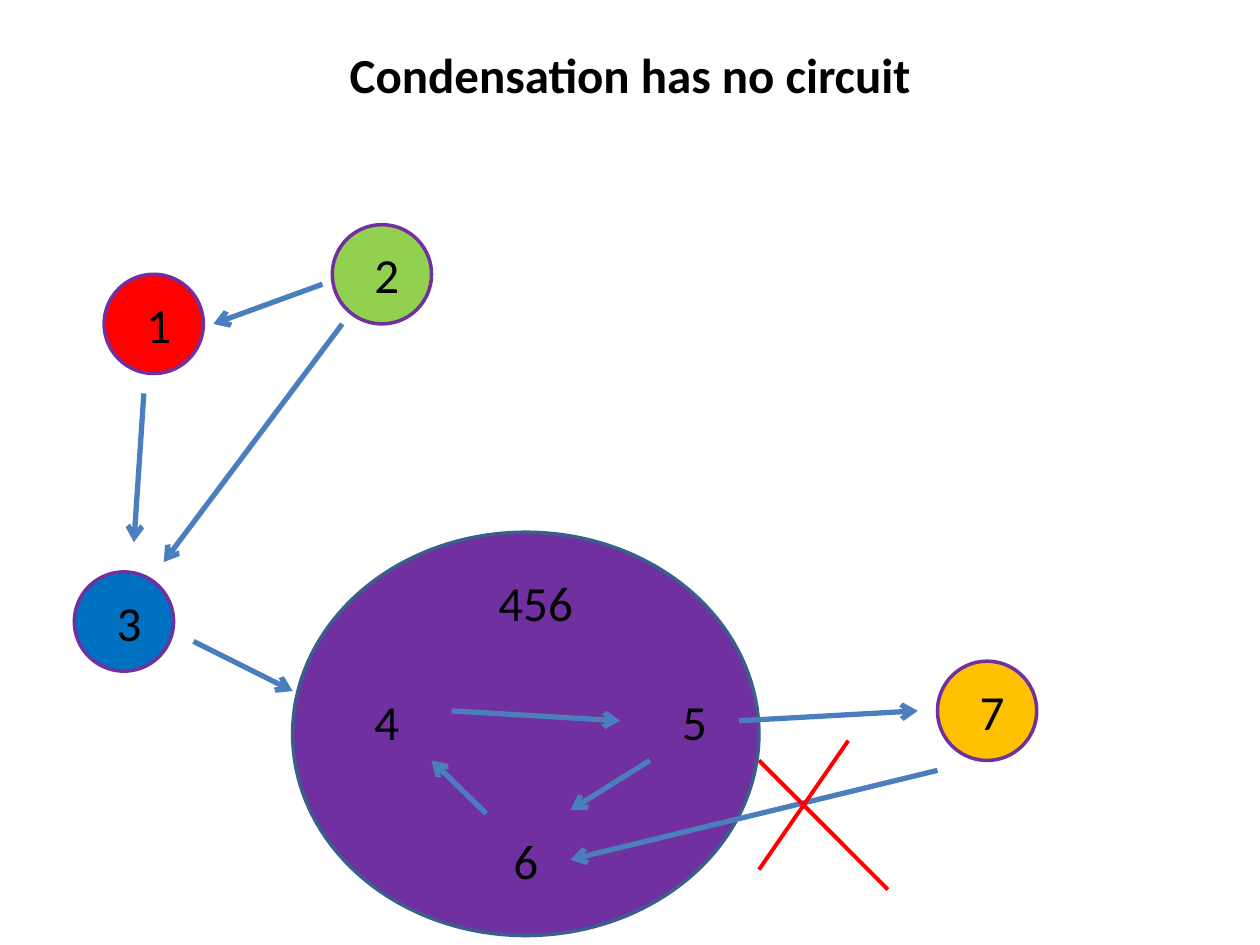
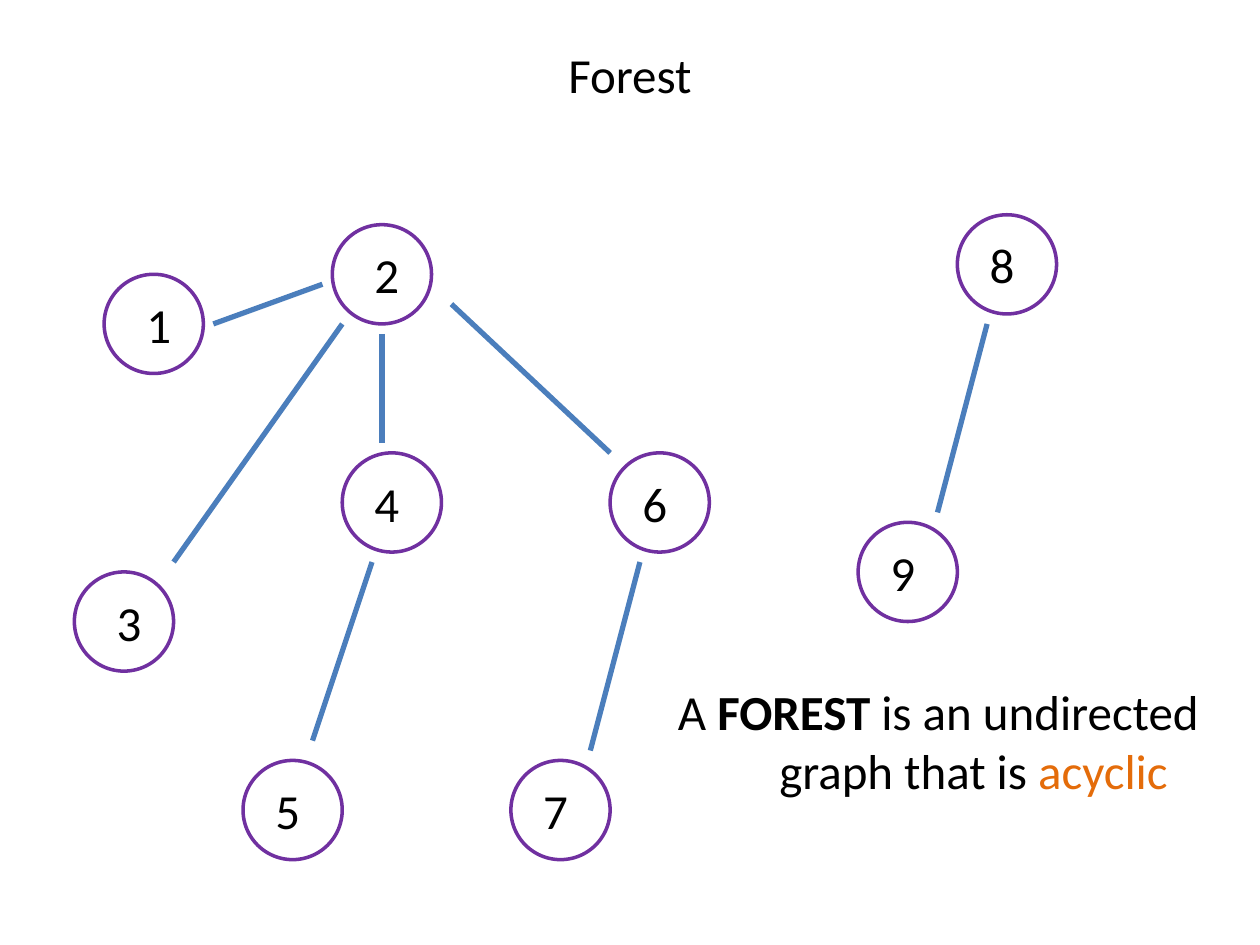
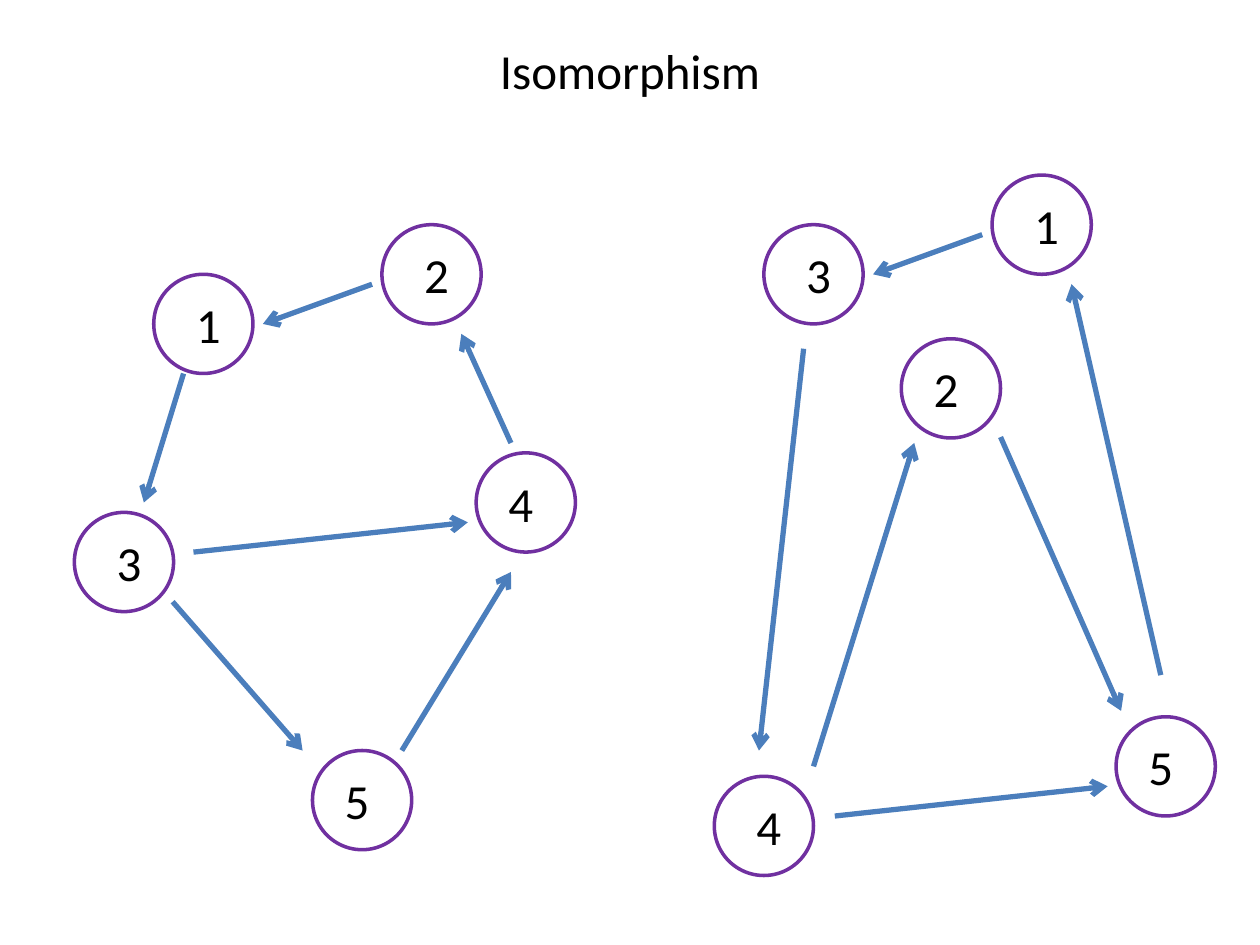
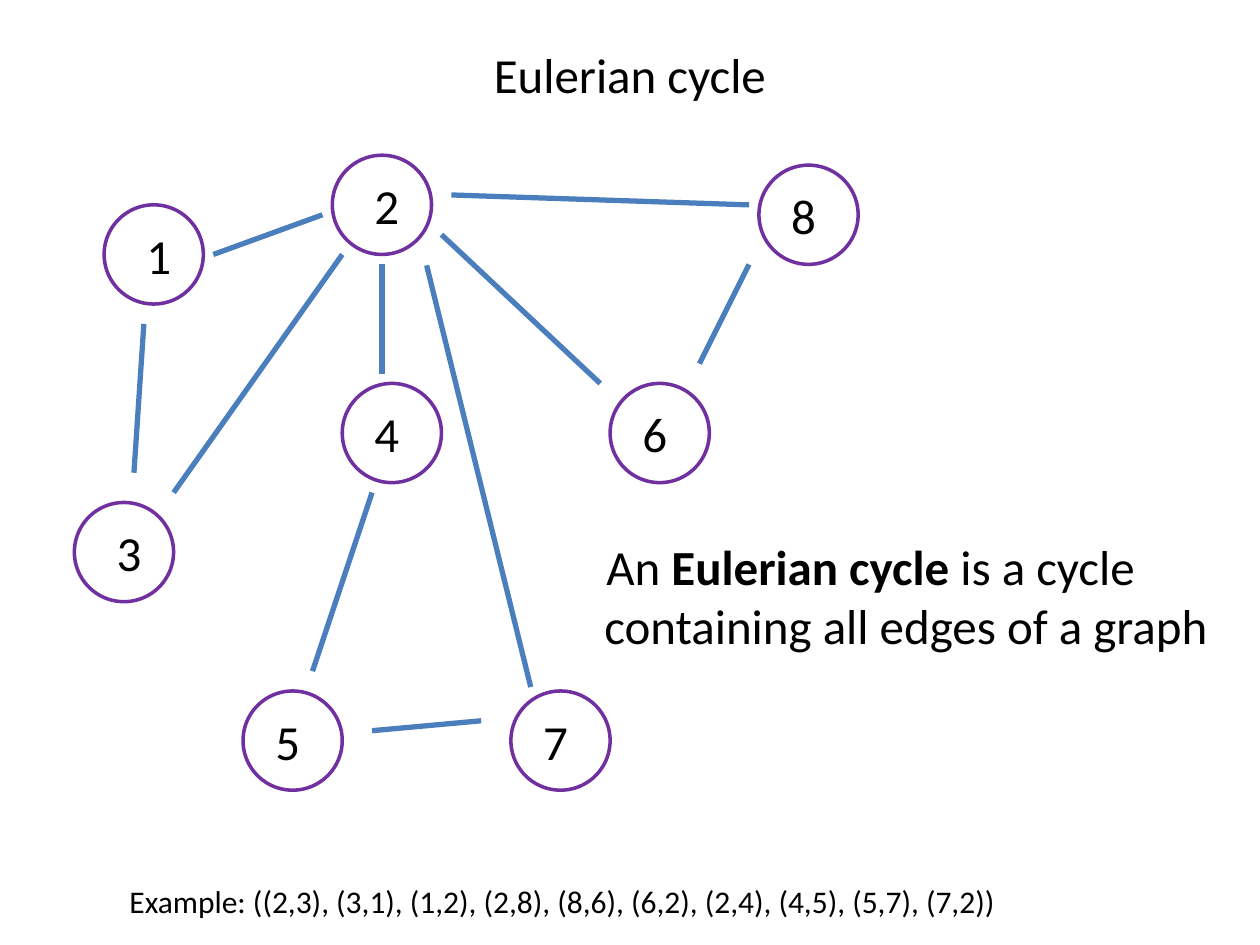
"""Build four graph theory slides: condensation, forest, isomorphism and Eulerian cycle."""
import lxml.etree
import pptx
import pptx.dml.color
import pptx.enum.shapes
import pptx.enum.text
import pptx.oxml.ns
import pptx.util

Cm, Pt = pptx.util.Cm, pptx.util.Pt
RGB = pptx.dml.color.RGBColor.from_string
qn = pptx.oxml.ns.qn
SHAPE = pptx.enum.shapes.MSO_SHAPE
STRAIGHT = pptx.enum.shapes.MSO_CONNECTOR.STRAIGHT
ALIGN = pptx.enum.text.PP_ALIGN
ANCHOR = pptx.enum.text.MSO_ANCHOR

THEME = {
    "font": "Calibri", "size": 28, "small": 18, "text": "000000", "accent": "E46C0A",
    "node": "FFFFFF", "ring": "7030A0", "ring_width": 2,
    "edge": "4B7EBC", "edge_width": 3, "cross": "FF0000", "cross_width": 2.25,
    "group": "7030A0", "group_ring": "3A5F8C",
    "red": "FF0000", "green": "92D050", "blue": "0070C0", "gold": "FFC000",
}
NODE_SIZE, LABEL_WIDTH, LABEL_HEIGHT, LABEL_DROP = 2, 1, 1.6, 0.2
NEAR, FAR = 0.4, 0.6
HANGING = Cm(1.42)


def add_text(s, at, runs, size=THEME["size"], align=ALIGN.CENTER, anchor=ANCHOR.MIDDLE):
    tf = s.shapes.add_textbox(*map(Cm, at)).text_frame
    for name, value in {"word_wrap": True, "vertical_anchor": anchor}.items():
        setattr(tf, name, value)
    p = tf.paragraphs[0]
    p.alignment = align
    pPr = p._p.get_or_add_pPr()
    pPr.set("marL", str(HANGING))
    pPr.set("indent", str(-HANGING))
    for text, bold, color in runs:
        r = p.add_run()
        r.text = text
        for name, value in {"name": THEME["font"], "size": Pt(size), "bold": bold}.items():
            setattr(r.font, name, value)
        r.font.color.rgb = RGB(THEME[color])
    return tf


def add_ellipse(s, at, fill, ring):
    sp = s.shapes.add_shape(SHAPE.OVAL, *map(Cm, at))
    sp.shadow.inherit = False
    sp.fill.solid()
    sp.fill.fore_color.rgb = RGB(THEME[fill])
    sp.line.color.rgb = RGB(THEME[ring])
    sp.line.width = Pt(THEME["ring_width"])


# label, left, top, label offset, fill
tree_nodes = [
    ("1", 2.1, 5.53, FAR, "node"), ("2", 6.7, 4.53, FAR, "node"),
    ("3", 1.5, 11.53, FAR, "node"), ("4", 6.9, 9.13, NEAR, "node"),
    ("5", 4.9, 15.33, NEAR, "node"), ("6", 12.3, 9.13, NEAR, "node"),
    ("7", 10.3, 15.33, NEAR, "node"),
]
tree_edges = [
    (6.5, 5.73, 4.3, 6.53), (3.5, 11.33, 6.9, 6.53),
    (7.7, 6.73, 7.7, 8.93), (7.5, 11.33, 6.3, 14.93),
]
RAISE = 1.4
raised_nodes = [(n, x, y - RAISE, dx, fill) for n, x, y, dx, fill in tree_nodes]
raised_edges = [(x1, y1 - RAISE, x2, y2 - RAISE) for x1, y1, x2, y2 in tree_edges]

slides = [
    {
        "title": "Condensation has no circuit", "bold": True, "arrows": True,
        "group": ((5.9, 10.73, 9.4, 8.13), "456", (9.5, 11.33, 2.6, LABEL_HEIGHT)),
        "nodes": [
            ("1", 2.1, 5.53, FAR, "red"), ("2", 6.7, 4.53, FAR, "green"),
            ("3", 1.5, 11.53, FAR, "blue"), ("4", 6.7, 13.53, FAR, "group"),
            ("5", 12.9, 13.53, FAR, "group"), ("6", 9.5, 16.33, FAR, "group"),
            ("7", 18.9, 13.33, FAR, "gold"),
        ],
        "edges": [
            (6.5, 5.73, 4.3, 6.53), (2.9, 7.93, 2.7, 10.93), (6.9, 6.53, 3.3, 11.33),
            (3.9, 12.93, 5.9, 13.93), (9.1, 14.33, 12.5, 14.53),
            (13.1, 15.33, 11.5, 16.33), (9.8, 16.4, 8.7, 15.33),
            (14.9, 14.53, 18.5, 14.33), (18.9, 15.53, 11.5, 17.33),
        ],
        "cross": [(17.9, 17.93, 15.3, 15.33), (17.1, 14.93, 15.3, 17.53)],
    },
    {
        "title": "Forest",
        "nodes": tree_nodes + [
            ("8", 19.3, 4.33, NEAR, "node"), ("9", 17.3, 10.53, NEAR, "node"),
        ],
        "edges": tree_edges + [
            (12.9, 11.33, 11.9, 15.13), (9.1, 6.13, 12.3, 9.13), (19.9, 6.53, 18.9, 10.33),
        ],
        "definition": ((13.03, 13.43, 11.77, 3), [
            ("A ", False, "text"), ("FOREST", True, "text"),
            (" is an undirected graph that is ", False, "text"),
            ("acyclic", False, "accent"),
        ]),
    },
    {
        "title": "Isomorphism", "title_top": -0.08, "arrows": True,
        "nodes": [
            ("1", 3.1, 5.53, FAR, "node"), ("2", 7.7, 4.53, FAR, "node"),
            ("3", 1.5, 10.33, FAR, "node"), ("4", 9.6, 9.13, NEAR, "node"),
            ("5", 6.3, 15.13, NEAR, "node"),
            ("1", 20, 3.53, FAR, "node"), ("2", 18.17, 6.83, NEAR, "node"),
            ("3", 15.4, 4.53, FAR, "node"), ("4", 14.4, 15.65, FAR, "node"),
            ("5", 22.5, 14.45, NEAR, "node"),
        ],
        "edges": [
            (7.5, 5.73, 5.3, 6.53), (10.3, 8.93, 9.3, 6.73), (3.7, 7.53, 2.9, 10.13),
            (3.48, 12.13, 6.1, 15.13), (8.1, 15.13, 10.3, 11.53), (3.9, 11.13, 9.43, 10.53),
            (19.8, 4.73, 17.6, 5.53), (23.4, 13.61, 21.6, 5.73), (16.2, 7.03, 15.3, 15.13),
            (16.4, 15.45, 18.43, 8.93), (20.17, 8.81, 22.6, 14.33),
            (16.83, 16.45, 22.33, 15.85),
        ],
    },
    {
        "title": "Eulerian cycle",
        "nodes": raised_nodes + [("8", 15.3, 3.33, NEAR, "node")],
        "edges": raised_edges + [
            (8.9, 4.73, 12.1, 7.73), (2.9, 6.53, 2.7, 9.53), (9.7, 14.53, 7.5, 14.73),
            (9.1, 3.93, 15.1, 4.13), (14.1, 7.33, 15.1, 5.33), (8.6, 5.35, 10.7, 13.85),
        ],
        "definition": ((10.18, 10.5, 14.74, 3), [
            ("An ", False, "text"), ("Eulerian cycle", True, "text"),
            (" is a cycle containing all edges of a graph", False, "text"),
        ]),
        "example": "Example: ((2,3), (3,1), (1,2), (2,8), (8,6), (6,2), (2,4), (4,5), (5,7), (7,2))",
    },
]

prs = pptx.Presentation()
for name, value in {"slide_width": Cm(25.4), "slide_height": Cm(19.05)}.items():
    setattr(prs, name, value)

for page in slides:
    s = prs.slides.add_slide(prs.slide_layouts[6])
    add_text(s, (0, page.get("title_top", 0), 25.4, 3),
             [(page["title"], page.get("bold", False), "text")])

    if "group" in page:
        at, label, label_at = page["group"]
        add_ellipse(s, at, "group", "group_ring")
        add_text(s, label_at, [(label, False, "text")])

    for label, x, y, dx, fill in page["nodes"]:
        add_ellipse(s, (x, y, NODE_SIZE, NODE_SIZE), fill, "ring")
        add_text(s, (x + dx, y + LABEL_DROP, LABEL_WIDTH, LABEL_HEIGHT),
                 [(label, False, "text")])

    for kind, lines, arrows in (("edge", page["edges"], page.get("arrows")),
                                ("cross", page.get("cross", []), False)):
        for ends in lines:
            c = s.shapes.add_connector(STRAIGHT, *map(Cm, ends))
            c.line.color.rgb = RGB(THEME[kind])
            c.line.width = Pt(THEME[kind + "_width"])
            spPr = c.element.spPr
            if arrows:
                lxml.etree.SubElement(spPr.find(qn("a:ln")), qn("a:tailEnd"), type="arrow")
            lxml.etree.SubElement(spPr, qn("a:effectLst"))

    if "definition" in page:
        add_text(s, *page["definition"])
    if "example" in page:
        tf = add_text(s, (2.36, 17.65, 23.04, 1.02), [(page["example"], False, "text")],
                      THEME["small"], ALIGN.LEFT, ANCHOR.TOP)
        tf.auto_size = pptx.enum.text.MSO_AUTO_SIZE.SHAPE_TO_FIT_TEXT

prs.save("out.pptx")
